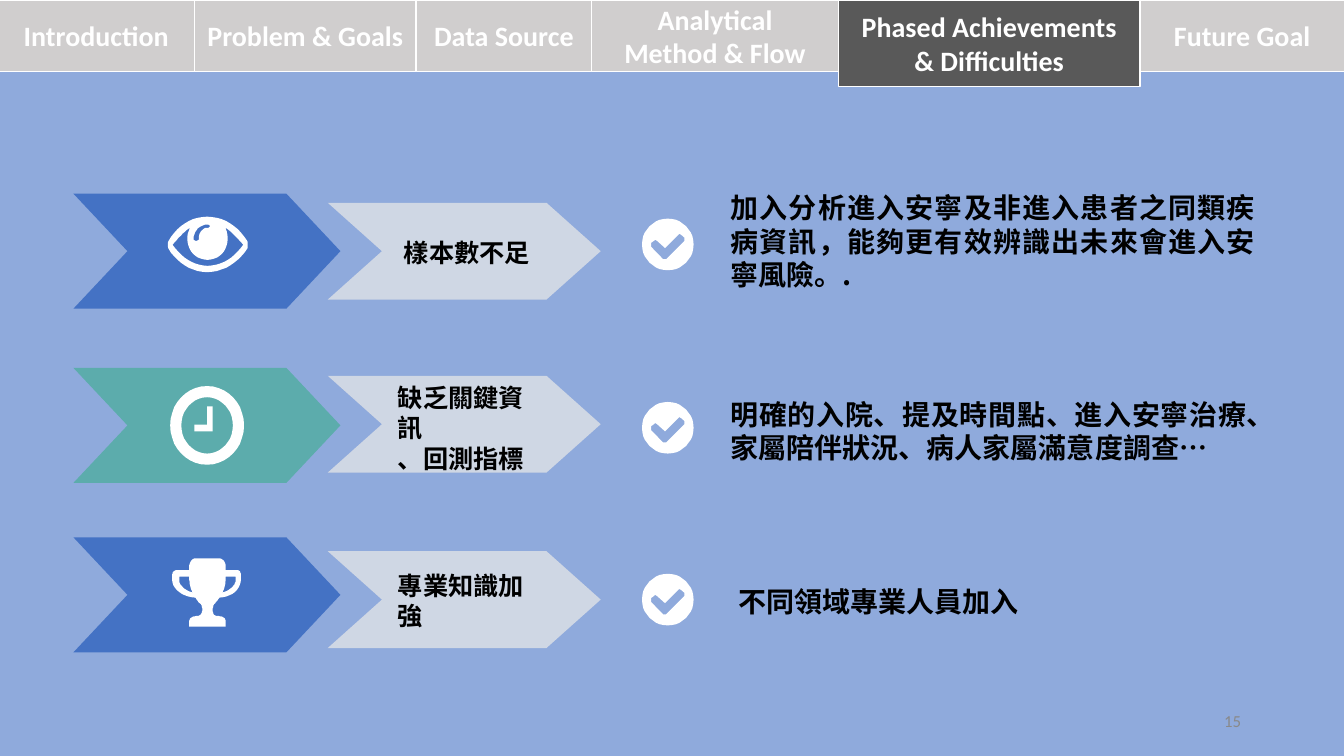
from dataclasses import dataclass
from itertools import pairwise

from lxml.etree import SubElement
from pptx import Presentation
from pptx.dml.color import RGBColor
from pptx.enum.shapes import MSO_SHAPE
from pptx.enum.text import MSO_ANCHOR, PP_ALIGN
from pptx.oxml.ns import qn
from pptx.util import Cm, Pt

COLORS = {
    "back": "8FAADC", "blue": "4472C4", "teal": "5CACAC", "pale": "D6DCE5",
    "tab": "D0CECE", "dark": "595959", "white": "FFFFFF", "black": "000000",
    "gray": "898989",
}
LATIN, HAN = "Calibri", "Noto Sans CJK SC"

# Icon outlines in tenths of a millimetre: M move, L line, C curve
EYE = """M 201 81 C 180 114 142 140 100 140 C 60 140 22 114 3 81
C 0 74 0 66 3 61 C 22 25 60 0 100 0 C 142 0 180 25 201 61 C 203 66 203 74 201 81
M 146 28 C 150 36 152 46 152 56 C 152 86 130 109 101 109 C 72 109 50 86 50 56
C 50 46 53 36 57 28 C 41 38 25 56 13 71 C 36 102 64 124 101 124
C 140 124 168 102 191 71 C 178 56 163 38 146 28
M 101 20 C 82 20 66 36 66 56 C 66 63 79 63 79 56 C 79 41 88 28 101 28
C 109 28 109 20 101 20"""
CLOCK = """M 93 0 C 144 0 186 44 186 99 C 186 154 144 198 93 198
C 41 198 0 154 0 99 C 0 44 41 0 93 0
M 93 28 C 129 28 158 60 158 99 C 158 138 129 170 93 170
C 57 170 28 138 28 99 C 28 60 57 28 93 28
M 93 51 L 107 51 L 107 114 L 61 114 L 61 97 L 93 97"""
CUP = """M 173 56 C 173 76 150 99 119 99 C 114 107 109 112 109 112
C 104 117 102 122 102 130 C 102 137 104 145 114 145 C 125 145 135 150 135 160
L 135 172 L 43 172 L 43 160 C 43 150 53 145 64 145 C 71 145 76 137 76 130
C 76 122 74 117 69 112 C 66 112 64 107 58 99 C 28 99 0 76 0 56 L 0 43
C 0 33 5 30 13 30 L 43 30 L 43 20 C 43 10 51 0 58 0 L 117 0
C 127 0 135 10 135 20 L 135 30 L 163 30 C 170 30 173 33 173 43
M 43 46 L 18 46 L 18 56 C 18 66 30 81 51 86 C 46 76 43 61 43 46
M 135 46 C 135 61 132 76 127 86 C 147 81 160 66 160 56 L 160 46"""
CHECK = """M 65 0 C 101 0 130 29 130 65 C 130 101 101 130 65 130
C 29 130 0 101 0 65 C 0 29 29 0 65 0
M 107 48 L 99 41 L 94 38 L 91 41 L 58 74 L 38 56 L 33 53 L 30 56 L 23 61
L 23 71 L 53 102 L 61 102 L 107 56"""


@dataclass
class Box:
    left: float
    top: float
    width: float
    height: float

    def emu(self) -> list:
        return [Cm(n) for n in (self.left, self.top, self.width, self.height)]


@dataclass
class Style:
    size: int = 20
    face: str = HAN
    color: str = "black"
    bold: bool = True
    align: PP_ALIGN = PP_ALIGN.LEFT
    anchor: MSO_ANCHOR = MSO_ANCHOR.MIDDLE
    space: float = 1.0
    wrap: bool = True


@dataclass
class Row:
    color: str
    top: float
    pale_top: float
    icon: str
    icon_at: tuple[float, float]
    check_top: float
    label: str
    label_box: Box
    body: str
    body_box: Box
    style: Style


def rgb(name: str) -> RGBColor:
    return RGBColor.from_string(COLORS[name])


def paint(shape, color: str) -> None:
    shape.shadow.inherit = False
    shape.fill.solid()
    shape.fill.fore_color.rgb = rgb(color)
    shape.line.fill.background()


def write(frame, text: str, style: Style) -> None:
    frame.text = text
    frame.word_wrap = style.wrap
    frame.vertical_anchor = style.anchor
    for para in frame.paragraphs:
        para.alignment = style.align
        para.line_spacing = style.space
        font = para.font
        font.size, font.bold = Pt(style.size), style.bold
        font.color.rgb = rgb(style.color)
        font.name = style.face
        # East Asian face
        props = para._p.pPr.find(qn("a:defRPr"))
        SubElement(props, qn("a:ea")).set("typeface", style.face)


def add_text(slide, box: Box, text: str, style: Style) -> None:
    write(slide.shapes.add_textbox(*box.emu()).text_frame, text, style)


def add_arrow(slide, box: Box, color: str, notch: float):
    arrow = slide.shapes.add_shape(MSO_SHAPE.CHEVRON, *box.emu())
    arrow.adjustments[0] = notch
    paint(arrow, color)
    return arrow


def trace(part: str, steps: int = 10) -> list[tuple[float, float]]:
    """Turn one outline into points, with each curve cut into steps."""
    points = []
    for piece in part.replace("L", "|L").replace("C", "|C").split("|"):
        nums = [float(n) for n in piece.strip(" LC\n").split()]
        pairs = list(zip(nums[::2], nums[1::2]))
        if len(pairs) == 1:
            points += pairs
            continue
        ends = [points[-1], *pairs]
        for step in range(1, steps + 1):
            t = step / steps
            parts = ((1 - t) ** 3, 3 * t * (1 - t) ** 2, 3 * t * t * (1 - t), t ** 3)
            points.append(tuple(sum(w * p[axis] for w, p in zip(parts, ends))
                                for axis in (0, 1)))
    return points


def add_icon(slide, outline: str, left: float, top: float) -> None:
    loops = [trace(part) for part in outline.split("M")[1:]]
    pen = slide.shapes.build_freeform(*loops[0][0], scale=Cm(0.01))
    for loop in loops:
        pen.move_to(*loop[0])
        pen.add_line_segments(loop[1:], close=True)
    paint(pen.convert_to_shape(Cm(left), Cm(top)), "white")


def add_tab(slide, box: Box, text: str, color: str) -> None:
    tab = slide.shapes.add_shape(MSO_SHAPE.RECTANGLE, *box.emu())
    paint(tab, color)
    tab.line.color.rgb = rgb("white")
    tab.line.width = Pt(1)
    frame = tab.text_frame
    frame.margin_left = frame.margin_right = 0
    write(frame, text, Style(face=LATIN, color="white", align=PP_ALIGN.CENTER))


def add_row(slide, row: Row) -> None:
    pale = add_arrow(slide, Box(8.26, row.pale_top, 6.88, 2.44), "pale", 0.56)
    tint = pale._element.spPr.find(qn("a:solidFill"))[0]
    SubElement(tint, qn("a:alpha")).set("val", "90000")
    add_arrow(slide, Box(1.85, row.top, 6.73, 2.9), row.color, 0.47)
    add_icon(slide, row.icon, *row.icon_at)
    add_icon(slide, CHECK, 16.18, row.check_top)
    add_text(slide, row.label_box, row.label, Style(size=18, wrap=False))
    add_text(slide, row.body_box, row.body, row.style)


TABS = ["Introduction", "Problem & Goals", "Data Source",
        "Analytical\nMethod\u00a0& Flow".replace("\u00a0", " "),
        "Phased Achievements\n& Difficulties", "Future Goal"]
EDGES = [-0.05, 4.9, 10.49, 14.91, 21.13, 28.73, 33.88]
ACTIVE = 4
ROWS = [
    Row("blue", 4.88, 5.11, EYE, (4.22, 5.46), 5.51,
        "樣本數不足", Box(9.93, 5.82, 3.86, 1.09),
        "加入分析進入安寧及非進入患者之同類疾病資訊，能夠更有效辨識出未來會進入安寧風險。.",
        Box(18.16, 4.6, 13.72, 2.95), Style(align=PP_ALIGN.JUSTIFY)),
    Row("teal", 9.27, 9.47, CLOCK, (4.29, 9.73), 10.13,
        "缺乏關鍵資訊\n、回測指標", Box(9.78, 10.16, 4.01, 1.24),
        "明確的入院、提及時間點、進入安寧治療、家屬陪伴狀況、病人家屬滿意度調查…",
        Box(18.16, 9.88, 13.51, 1.96), Style(align=PP_ALIGN.JUSTIFY)),
    Row("blue", 13.54, 13.89, CUP, (4.34, 14.07), 14.46,
        "專業知識加強", Box(9.78, 14.58, 3.86, 1.09),
        "不同領域專業人員加入", Box(18.36, 14.17, 11.13, 1.9),
        Style(anchor=MSO_ANCHOR.TOP, space=1.5)),
]


def main() -> None:
    deck = Presentation()
    deck.slide_width, deck.slide_height = Cm(33.87), Cm(19.05)
    slide = deck.slides.add_slide(deck.slide_layouts[6])
    slide.background.fill.solid()
    slide.background.fill.fore_color.rgb = rgb("back")

    # Arrow rows
    for row in ROWS:
        add_row(slide, row)

    # Navigation tabs, the active one last so that it lies on top
    spans = list(enumerate(zip(TABS, pairwise(EDGES))))
    for spot, (text, (left, right)) in sorted(spans, key=lambda s: s[0] == ACTIVE):
        high, color = (2.18, "dark") if spot == ACTIVE else (1.8, "tab")
        add_tab(slide, Box(left, 0, right - left, high), text, color)

    # Slide number
    add_text(slide, Box(29.5, 17.66, 2.03, 1.01), "15",
             Style(12, LATIN, "gray", False, PP_ALIGN.RIGHT))
    deck.save("out.pptx")


if __name__ == "__main__":
    main()
